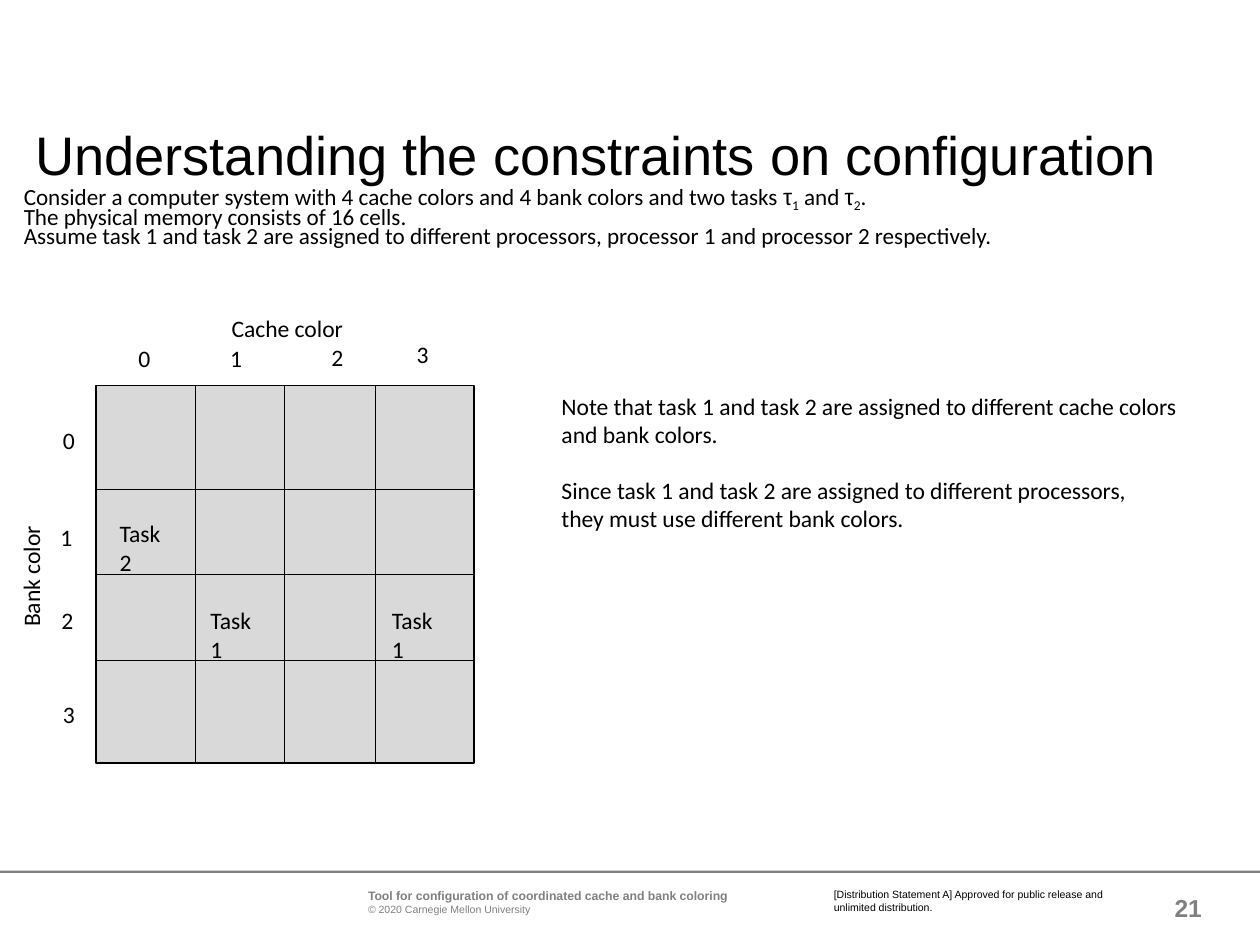
from pptx import Presentation
from pptx.dml.color import RGBColor
from pptx.enum.shapes import MSO_CONNECTOR, MSO_SHAPE
from pptx.enum.text import MSO_ANCHOR, MSO_AUTO_SIZE, PP_ALIGN
from pptx.oxml.ns import qn
from pptx.util import Cm, Pt
from lxml.etree import SubElement

BLACK = RGBColor(0x00, 0x00, 0x00)
GRAY = RGBColor(0x80, 0x80, 0x80)
CELL_GRAY = RGBColor(0xD9, 0xD9, 0xD9)
NO_MARGINS = (0, 0, 0, 0)
LABEL_MARGINS = (0.25, 0.13, 0.25, 0.13)


def write(paragraph, text, font="Calibri", size=13.5, color=BLACK, bold=False, baseline=0):
    for index, line in enumerate(text.split("\n")):
        if index:
            paragraph.add_line_break()
        run = paragraph.add_run()
        run.text = line
        run.font.name = font
        run.font.size = Pt(size)
        run.font.color.rgb = color
        run.font.bold = bold
        if baseline:
            run._r.get_or_add_rPr().set("baseline", str(baseline * 1000))


class SlideWriter:
    """Holds the slide and the shared style of its elements."""

    def __init__(self, slide):
        self.slide = slide

    def text(self, left, top, width, height, paragraphs, margins=NO_MARGINS, wrap=True,
             grow=False, anchor=MSO_ANCHOR.TOP, align=PP_ALIGN.LEFT, line_spacing=None,
             rotation=0, **style):
        box = self.slide.shapes.add_textbox(Cm(left), Cm(top), Cm(width), Cm(height))
        box.rotation = rotation
        frame = box.text_frame
        frame.word_wrap = wrap
        frame.auto_size = MSO_AUTO_SIZE.SHAPE_TO_FIT_TEXT if grow else MSO_AUTO_SIZE.NONE
        frame.vertical_anchor = anchor
        (frame.margin_left, frame.margin_top,
         frame.margin_right, frame.margin_bottom) = map(Cm, margins)
        for index, runs in enumerate(paragraphs):
            paragraph = frame.add_paragraph() if index else frame.paragraphs[0]
            paragraph.alignment = align
            if line_spacing:
                paragraph.line_spacing = line_spacing
            for words, changes in runs:
                write(paragraph, words, **{**style, **changes})
        return frame

    def label(self, left, top, width, words, height=0.84, wrap=False, rotation=0):
        return self.text(left, top, width, height, [[(line, {})] for line in words],
                         margins=LABEL_MARGINS, wrap=wrap, grow=True, rotation=rotation)

    def rectangle(self, left, top, width, height, fill, outline=None):
        shape = self.slide.shapes.add_shape(
            MSO_SHAPE.RECTANGLE, Cm(left), Cm(top), Cm(width), Cm(height))
        shape.shadow.inherit = False
        shape.fill.solid()
        shape.fill.fore_color.rgb = fill
        if outline is None:
            shape.line.fill.background()
        else:
            shape.line.color.rgb = outline
            shape.line.width = Pt(1)

    def line(self, x1, y1, x2, y2):
        connector = self.slide.shapes.add_connector(
            MSO_CONNECTOR.STRAIGHT, Cm(x1), Cm(y1), Cm(x2), Cm(y2))
        connector.line.color.rgb = BLACK
        connector.line.width = Pt(0.5)
        SubElement(connector._element.spPr, qn("a:effectLst"))


def add_footer(writer):
    writer.text(23.11, 17.78, 1.12, 1.02, [[("21", {})]], anchor=MSO_ANCHOR.MIDDLE,
                align=PP_ALIGN.RIGHT, font="Arial", size=14, color=GRAY, bold=True)
    writer.text(7.42, 17.91, 8.99, 0.56, [
        [("Tool for configuration of coordinated cache and bank coloring",
          {"size": 7, "bold": True})],
        [("© 2020 Carnegie Mellon University", {})],
    ], margins=(0, 0, 0.13, 0), grow=True, font="Arial", size=6, color=GRAY)
    writer.text(16.81, 17.91, 5.82, 0.51, [[(
        "[Distribution Statement A] Approved for public release and unlimited distribution.",
        {})]], grow=True, font="Arial", size=6)
    writer.rectangle(0, 17.55, 25.4, 0.05, GRAY)


def add_introduction(writer):
    writer.text(0.71, 2.59, 22.94, 1.27,
                [[("Understanding the constraints on configuration", {})]],
                line_spacing=0.9, font="Arial", size=31)
    tau = ("τ", {"font": "Arial"})
    subscript = {"baseline": -25}
    writer.text(0.3, 3.66, 24.82, 1.47, [
        [("Consider a computer system with 4 cache colors and 4 bank colors and two tasks ", {}),
         tau, ("1", subscript), (" and ", {}), tau, ("2", subscript), (".", {})],
        [("The physical memory consists of 16 cells.", {})],
        [("Assume task 1 and task 2 are assigned to different processors, "
          "processor 1 and processor 2 respectively.", {})],
    ], margins=(0.18, 0.1, 0.18, 0.1), anchor=MSO_ANCHOR.MIDDLE, line_spacing=0.7, size=13.2)


def add_memory_grid(writer):
    left, top, side = 1.93, 7.77, 7.62
    writer.rectangle(left, top, side, side, CELL_GRAY, BLACK)
    for x in (3.94, 5.74, 7.57):
        writer.line(x, top, x, top + side)
    for y in (9.86, 11.58, 13.31):
        writer.line(left, y, left + side, y)

    writer.label(4.42, 6.2, 2.79, ["Cache color"])
    writer.label(-0.66, 11.18, 2.57, ["Bank color"], rotation=270)
    cache_places = [(2.54, 6.81), (4.39, 6.81), (6.43, 6.78), (8.15, 6.73)]
    bank_places = [(1.02, 8.46), (0.97, 10.41), (0.99, 12.09), (1.02, 13.97)]
    for places in (cache_places, bank_places):
        for number, (x, y) in enumerate(places):
            writer.label(x, y, 0.76, [str(number)])
    for task, x, y in (("Task 2", 2.16, 10.34), ("Task 1", 3.99, 12.09), ("Task 1", 7.65, 12.09)):
        writer.label(x, y, 1.63, [task], height=1.42, wrap=True)


def add_note(writer):
    note = writer.label(11.07, 7.77, 13.11, [
        "Note that task 1 and task 2 are assigned to different cache colors",
        "and bank colors.",
        "Since task 1 and task 2 are assigned to different processors,\n"
        "they must use different bank colors.",
    ], height=3.15)
    note.paragraphs[-1].space_before = Pt(15.5)


def main():
    presentation = Presentation()
    presentation.slide_width = Cm(25.4)
    presentation.slide_height = Cm(19.05)
    writer = SlideWriter(presentation.slides.add_slide(presentation.slide_layouts[6]))
    add_footer(writer)
    add_introduction(writer)
    add_memory_grid(writer)
    add_note(writer)
    presentation.save("out.pptx")


if __name__ == "__main__":
    main()
